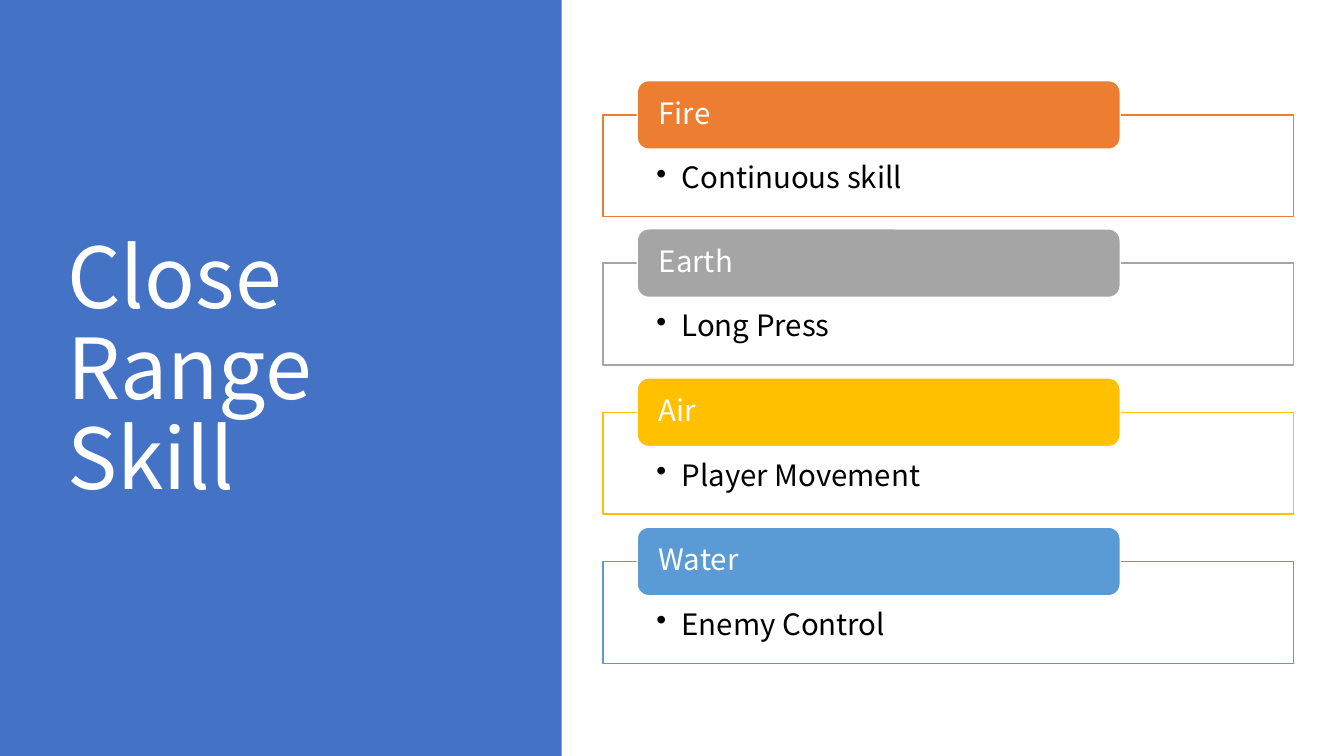
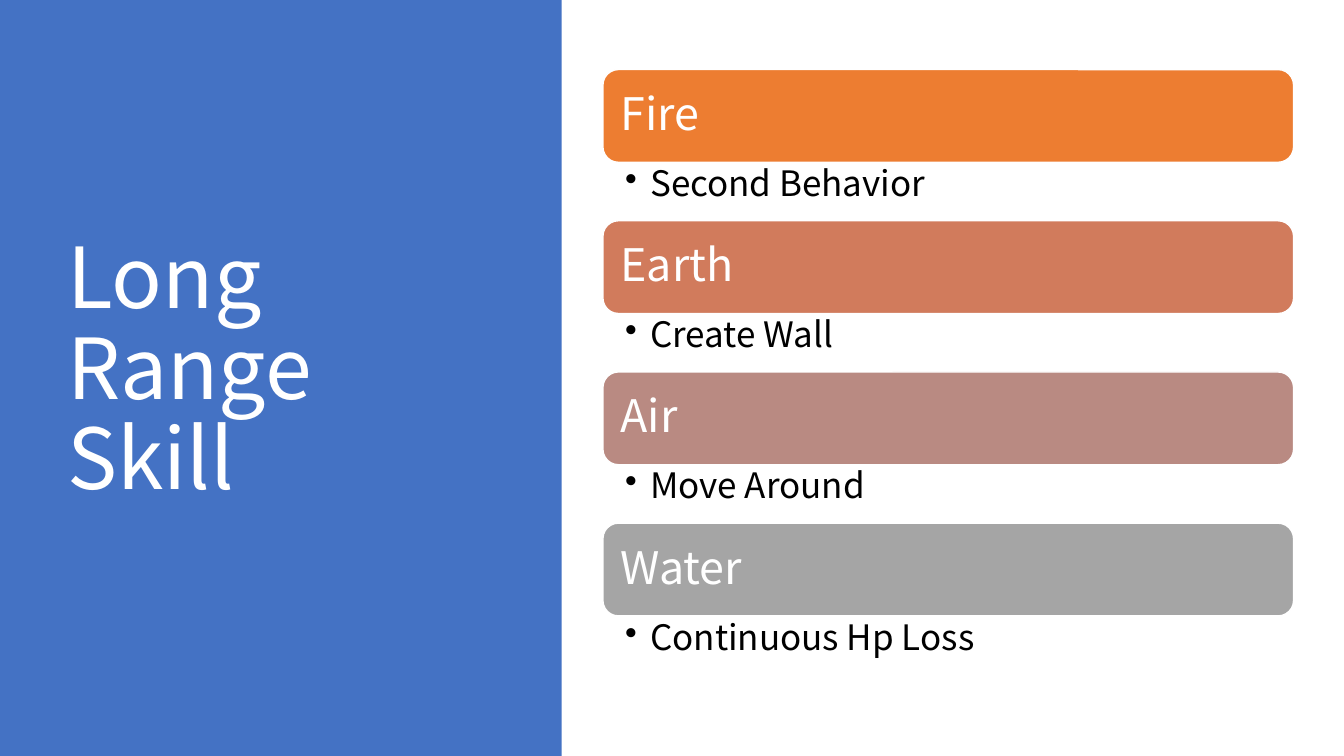
"""Build two slides that list close range and long range skills."""
from pptx import Presentation
from pptx.dml.color import RGBColor
from pptx.enum.shapes import MSO_SHAPE
from pptx.enum.text import MSO_ANCHOR, PP_ALIGN
from pptx.oxml.xmlchemy import OxmlElement
from pptx.util import Pt

RECT = MSO_SHAPE.RECTANGLE
ROUND = MSO_SHAPE.ROUNDED_RECTANGLE
TOP = MSO_ANCHOR.TOP
MIDDLE = MSO_ANCHOR.MIDDLE
LEFT = PP_ALIGN.LEFT
PX = 9144


class Theme:
    font = "Noto Sans CJK SC"
    blue = "4472C4"
    white = "FFFFFF"
    black = "000000"
    close = ["ED7D31", "A5A5A5", "FFC000", "5B9BD5"]
    long = ["ED7D31", "D17B5C", "B98A82", "A5A5A5"]
    title = 60
    tab = 21
    bar = 32
    note = 25


def draw(slide, kind, box, fill, line=None):
    shape = slide.shapes.add_shape(kind, *[n * PX for n in box])
    shape.shadow.inherit = False
    shape.fill.solid()
    shape.fill.fore_color.rgb = RGBColor.from_string(fill)
    if line:
        shape.line.color.rgb = RGBColor.from_string(line)
        shape.line.width = Pt(1)
    else:
        shape.line.fill.background()
    return shape


def write(shape, text, size, color, pads, anchor=MIDDLE, bullet=False):
    frame = shape.text_frame
    frame.word_wrap = True
    frame.vertical_anchor = anchor
    frame.margin_left, frame.margin_top, frame.margin_right, frame.margin_bottom = [
        n * PX for n in pads]
    frame.text = text
    para = frame.paragraphs[0]
    para.alignment = LEFT
    para.line_spacing = 0.9
    if bullet:
        para.level = 1
        props = para._p.get_or_add_pPr()
        props.set("marL", str(25 * PX))
        props.set("indent", str(-25 * PX))
        mark = OxmlElement("a:buChar")
        mark.set("char", "•")
        props.append(mark)
    font = para.runs[0].font
    font.name = Theme.font
    font.size = Pt(size)
    font.color.rgb = RGBColor.from_string(color)


deck = Presentation()
deck.slide_width = 1333 * PX
deck.slide_height = 750 * PX

names = ["Fire", "Earth", "Air", "Water"]
slides = []
for title in ["Close Range Skill", "Long Range Skill"]:
    slide = deck.slides.add_slide(deck.slide_layouts[6])
    draw(slide, RECT, (0, 0, 557, 750), Theme.blue)
    head = slide.shapes.add_textbox(57 * PX, 68 * PX, 416 * PX, 602 * PX)
    write(head, title, Theme.title, Theme.white, (10, 5, 10, 5))
    slides.append(slide)
close, long = slides

skills = ["Continuous skill", "Long Press", "Player Movement", "Enemy Control"]
for i, (name, skill, color) in enumerate(zip(names, skills, Theme.close)):
    top = 80 + 443 * i // 3
    panel = draw(close, RECT, (598, top + 34, 685, 101), Theme.white, color)
    alpha = OxmlElement("a:alpha")
    alpha.set("val", "90000")
    panel.fill._xPr.solidFill[0].append(alpha)
    write(panel, skill, Theme.tab, Theme.black, (53, 48, 53, 16), TOP, True)
    tab = draw(close, ROUND, (632, top, 479, 68), color, Theme.white)
    write(tab, name, Theme.tab, Theme.white, (18, 0, 18, 0))

skills = ["Second Behavior", "Create Wall", "Move Around", "Continuous Hp Loss"]
for i, (name, skill, color) in enumerate(zip(names, skills, Theme.long)):
    top = 69 + 150 * i
    bar = draw(long, ROUND, (598, top, 685, 92), color, Theme.white)
    write(bar, name, Theme.bar, Theme.white, (13, 13, 13, 13))
    note = long.shapes.add_textbox(598 * PX, (top + 92) * PX, 685 * PX, 58 * PX)
    write(note, skill, Theme.note, Theme.black, (22, 4, 25, 4), TOP, True)

deck.save("out.pptx")
